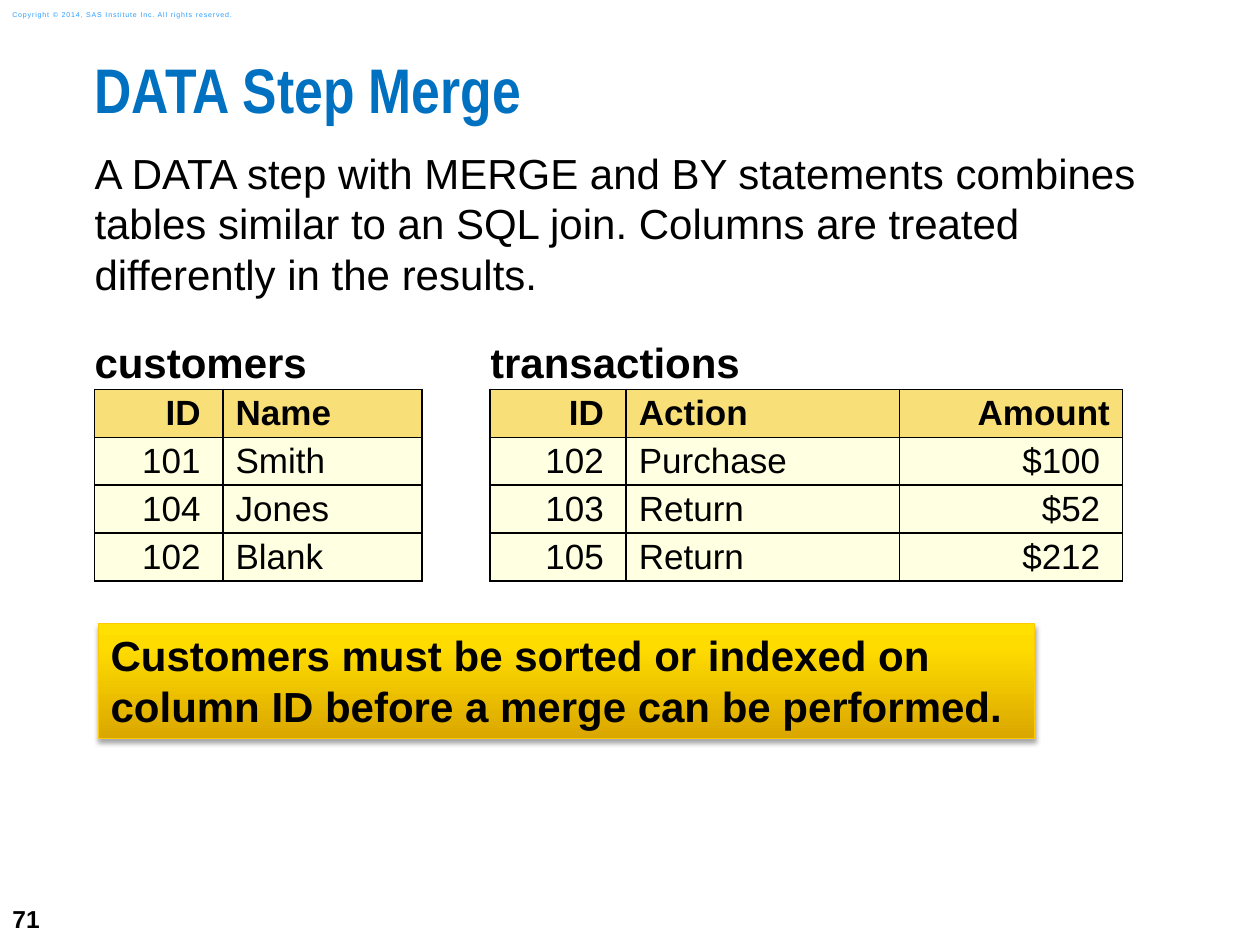
from dataclasses import dataclass

from lxml import etree
from pptx import Presentation
from pptx.dml.color import RGBColor
from pptx.enum.shapes import MSO_SHAPE
from pptx.enum.text import MSO_ANCHOR, PP_ALIGN
from pptx.oxml import parse_xml
from pptx.oxml.ns import nsdecls, qn
from pptx.util import Inches, Pt

LEFT, RIGHT = PP_ALIGN.LEFT, PP_ALIGN.RIGHT
TOP, MIDDLE = MSO_ANCHOR.TOP, MSO_ANCHOR.MIDDLE
RECT = MSO_SHAPE.RECTANGLE


@dataclass(frozen=True)
class Theme:
    font: str = "Arial"
    narrow: str = "Arial Narrow"
    black: str = "000000"
    white: str = "FFFFFF"
    blue: str = "0070C0"
    sky: str = "2A9CFF"
    head: str = "F9DF78"
    cream: str = "FFFFE1"
    edge: str = "FFCB00"
    glow: tuple = ((0, "DAA700"), (80, "FFDC00"), (100, "FFE000"))
    title: int = 36
    body: int = 24
    cell: int = 20
    page: int = 14
    tiny: int = 4


THEME = Theme()


def write(host, text, size=THEME.body, color=THEME.black, font=THEME.font,
          bold=False, align=LEFT, anchor=TOP, pad=(0, 0), line=None, track=0):
    side, rise = map(Inches, pad)
    host.margin_left = host.margin_right = side
    host.margin_top = host.margin_bottom = rise
    host.vertical_anchor = anchor
    frame = getattr(host, "text_frame", host)
    frame.word_wrap = True
    para = frame.paragraphs[0]
    para.alignment = align
    if line:
        para.line_spacing = line
    run = para.add_run()
    run.text = text
    run.font.name = font
    run.font.size = Pt(size)
    run.font.bold = bold
    run.font.color.rgb = RGBColor.from_string(color)
    if track:
        run.font._element.set("spc", str(int(track * 100)))


def label(slide, box, text, **form):
    shape = slide.shapes.add_textbox(*map(Inches, box))
    write(shape.text_frame, text, **form)


def border(cell, colors):
    props = cell._tc.get_or_add_tcPr()
    for side, color in zip("LRTB", colors):
        line = etree.SubElement(props, qn(f"a:ln{side}"), w=str(Pt(1)))
        fill = etree.SubElement(line, qn("a:solidFill"))
        etree.SubElement(fill, qn("a:srgbClr"), val=color)


def paint(cell, color):
    cell.fill.solid()
    cell.fill.fore_color.rgb = RGBColor.from_string(color)


def grid(slide, box, name, widths, aligns, rows):
    frame = slide.shapes.add_table(len(rows) + 1, len(widths), *map(Inches, box))
    table = frame.table
    table.first_row = table.horz_banding = False
    for col, width in zip(table.columns, widths):
        col.width = Inches(width)
    for i, row in enumerate(table.rows):
        row.height = Inches(0.38 if i else 0.4)

    for cell in table.rows[0].cells:
        border(cell, [THEME.white] * 3 + [THEME.black])
        paint(cell, THEME.white)
    lead = table.cell(0, 0)
    lead.merge(table.cell(0, len(widths) - 1))
    write(lead, name, bold=True, anchor=MIDDLE)

    for i, row in enumerate(rows, 1):
        first = i == 1
        for j, text in enumerate(row):
            cell = table.cell(i, j)
            border(cell, [THEME.black] * 4)
            paint(cell, THEME.head if first else THEME.cream)
            write(cell, text, size=THEME.cell, bold=first, align=aligns[j],
                  anchor=MIDDLE, pad=(0.1, 0))


def banner(slide, box, text):
    shape = slide.shapes.add_shape(RECT, *map(Inches, box))
    shape.line.color.rgb = RGBColor.from_string(THEME.edge)
    shape.line.width = Pt(0.75)
    stops = "".join(
        f'<a:gs pos="{pos * 1000}"><a:srgbClr val="{color}"/></a:gs>'
        for pos, color in THEME.glow)
    fill = parse_xml(
        f'<a:gradFill {nsdecls("a")} rotWithShape="1"><a:gsLst>{stops}</a:gsLst>'
        '<a:lin ang="16200000" scaled="0"/></a:gradFill>')
    shade = parse_xml(
        f'<a:effectLst {nsdecls("a")}><a:outerShdw blurRad="{Pt(3.1)}" '
        f'dist="{Pt(1.8)}" dir="5400000" rotWithShape="0">'
        f'<a:srgbClr val="{THEME.black}"><a:alpha val="35000"/></a:srgbClr>'
        '</a:outerShdw></a:effectLst>')
    props = shape._element.spPr
    props.find(qn("a:prstGeom")).addnext(fill)
    props.find(qn("a:ln")).addnext(shade)
    write(shape.text_frame, text, bold=True, pad=(0.1, 0.05))


def main():
    deck = Presentation()
    deck.slide_width, deck.slide_height = Inches(10), Inches(7.5)
    slide = deck.slides.add_slide(deck.slide_layouts[6])

    label(slide, (0, 7.08, 0.58, 0.42), "71", size=THEME.page, bold=True,
          anchor=MIDDLE, pad=(0.1, 0.05))
    label(slide, (0, 0.03, 2.11, 0.17),
          "Copyright © 2014, SAS Institute Inc. All rights reserved.",
          size=THEME.tiny, color=THEME.sky, track=0.5, anchor=MIDDLE,
          pad=(0.1, 0.05))
    label(slide, (0.75, 0.5, 9.25, 0.75), "DATA Step Merge", size=THEME.title,
          color=THEME.blue, font=THEME.narrow, bold=True, line=0.83)
    label(slide, (0.75, 1.17, 8.58, 1.04),
          "A DATA step with MERGE and BY statements combines tables similar "
          "to an SQL join. Columns are treated differently in the results.")

    grid(slide, (0.75, 2.69, 2.6, 1.92), "customers", (1.02, 1.58),
         (RIGHT, LEFT),
         [("ID ", "Name"), ("101 ", "Smith"), ("104 ", "Jones"),
          ("102 ", "Blank")])
    grid(slide, (3.89, 2.69, 5.02, 1.92), "transactions", (1.08, 2.17, 1.77),
         (RIGHT, LEFT, RIGHT),
         [("ID ", "Action", "Amount"), ("102 ", "Purchase", "$100 "),
          ("103 ", "Return", "$52 "), ("105 ", "Return", "$212 ")])
    banner(slide, (0.78, 4.95, 7.43, 0.91),
           "Customers must be sorted or indexed on column ID before a merge "
           "can be performed.")
    deck.save("out.pptx")


if __name__ == "__main__":
    main()
